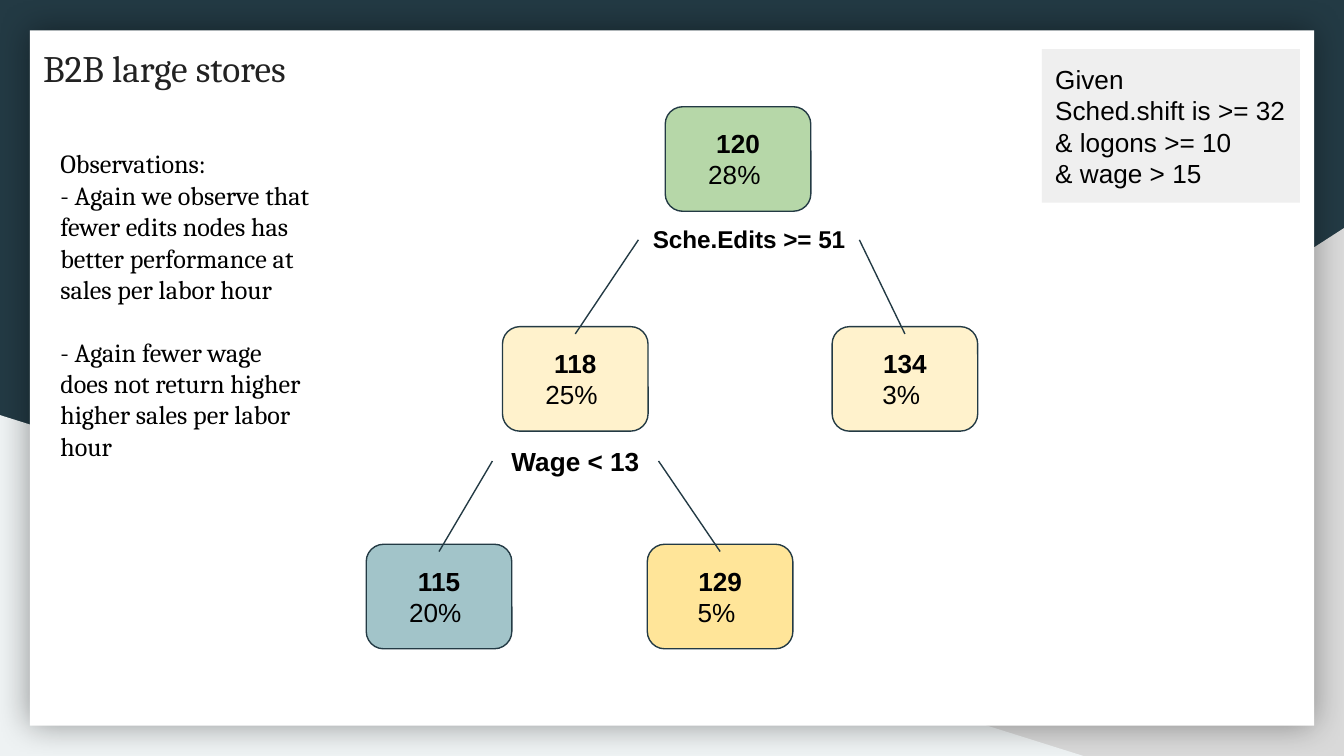
from lxml.etree import SubElement
from pptx import Presentation
from pptx.dml.color import RGBColor
from pptx.enum.shapes import MSO_CONNECTOR, MSO_SHAPE
from pptx.enum.text import MSO_ANCHOR, PP_ALIGN
from pptx.oxml import parse_xml
from pptx.oxml.ns import nsdecls, qn
from pptx.util import Pt

NAVY = RGBColor(0x23, 0x3A, 0x44)
SILVER = RGBColor(0xD9, 0xD9, 0xD9)
MIST = RGBColor(0xEE, 0xF2, 0xF3)
WHITE = RGBColor(0xFF, 0xFF, 0xFF)
BLACK = RGBColor(0, 0, 0)
CHARCOAL = RGBColor(0x22, 0x22, 0x22)
GRAY = RGBColor(0xEF, 0xEF, 0xEF)
GREEN = RGBColor(0xB6, 0xD7, 0xA8)
CREAM = RGBColor(0xFF, 0xF2, 0xCC)
TEAL = RGBColor(0xA2, 0xC4, 0xC9)
GOLD = RGBColor(0xFF, 0xE5, 0x99)

NODE_W, NODE_H = 78, 56
INSET_X, INSET_Y = 4.8, 3.9
ROW_1, ROW_2, ROW_3 = 57.2, 175, 291.6
SHADOW = (
    f'<a:effectLst {nsdecls("a")}><a:outerShdw blurRad="{Pt(18)}" dist="0" '
    'algn="ctr" rotWithShape="0"><a:srgbClr val="000000"><a:alpha val="40000"/>'
    '</a:srgbClr></a:outerShdw></a:effectLst>'
)


def add_box(s, kind, x, y, w, h, fill, line=None):
    sp = s.shapes.add_shape(kind, Pt(x), Pt(y), Pt(w), Pt(h))
    sp.shadow.inherit = False
    sp.fill.solid()
    sp.fill.fore_color.rgb = fill
    if line is None:
        sp.line.fill.background()
    else:
        sp.line.color.rgb = line
        sp.line.width = Pt(0.75)
    return sp


def write_text(sp, lines, font="Arial", size=14, color=BLACK, bold=(),
               align=PP_ALIGN.LEFT, anchor=MSO_ANCHOR.TOP, gaps=None):
    tf = sp.text_frame
    tf.word_wrap = True
    tf.vertical_anchor = anchor
    tf.margin_left = tf.margin_right = tf.margin_top = tf.margin_bottom = Pt(7.2)
    for i, line in enumerate(lines):
        p = tf.paragraphs[0] if i == 0 else tf.add_paragraph()
        p.alignment = align
        p.space_before = Pt((gaps or {}).get(i, 0))
        r = p.add_run()
        r.text = line
        r.font.name = font
        r.font.size = Pt(size)
        r.font.color.rgb = color
        r.font.bold = i in bold


def add_text(s, x, y, w, h, lines, **style):
    sp = s.shapes.add_textbox(Pt(x), Pt(y), Pt(w), Pt(h))
    write_text(sp, lines, **style)
    return sp


def add_node(s, x, y, value, share, fill):
    add_box(s, MSO_SHAPE.ROUNDED_RECTANGLE, x, y, NODE_W, NODE_H, fill, NAVY)
    return add_text(s, x + INSET_X, y + INSET_Y,
                    NODE_W - 2 * INSET_X, NODE_H - 2 * INSET_Y,
                    [value, share + " "], bold=(0,), align=PP_ALIGN.CENTER)


def add_split(s, x, y, w, h, rule, size, left, right):
    label = add_text(s, x, y, w, h, [rule], size=size, bold=(0,),
                     align=PP_ALIGN.CENTER)
    for side, child in ((1, left), (3, right)):
        line = s.shapes.add_connector(MSO_CONNECTOR.STRAIGHT, 0, 0, 0, 0)
        line.begin_connect(label, side)
        line.end_connect(child, 0)
        line.line.color.rgb = NAVY
        line.line.width = Pt(0.75)
        SubElement(line.element.spPr, qn("a:effectLst"))


def add_backdrop(s):
    s.background.fill.solid()
    s.background.fill.fore_color.rgb = NAVY
    corner = add_box(s, MSO_SHAPE.RIGHT_TRIANGLE, 282, 122.2, 438, 282.8, SILVER)
    corner.element.spPr.get_or_add_xfrm().set("flipH", "1")
    add_box(s, MSO_SHAPE.RIGHT_TRIANGLE, 0, 222.4, 580.4, 182.6, MIST)
    card = add_box(s, MSO_SHAPE.RECTANGLE, 16, 16.2, 688, 372.6, WHITE)
    spPr = card.element.spPr
    spPr.replace(spPr.find(qn("a:effectLst")), parse_xml(SHADOW))


def add_tree(s):
    add_node(s, 356.4, ROW_1, "120", "28%", GREEN)
    node_118 = add_node(s, 269.2, ROW_2, "118", "25%", CREAM)
    node_134 = add_node(s, 445.8, ROW_2, "134", "3%", CREAM)
    node_115 = add_node(s, 196.2, ROW_3, "115", "20%", TEAL)
    node_129 = add_node(s, 346.8, ROW_3, "129", "5%", GOLD)
    add_split(s, 342, 113.2, 118.4, 30.6, "Sche.Edits >= 51", 13, node_118, node_134)
    add_split(s, 263.8, 231.2, 89, 31.6, "Wage < 13", 14, node_115, node_129)


def main():
    prs = Presentation()
    prs.slide_width, prs.slide_height = Pt(720), Pt(405)
    s = prs.slides.add_slide(prs.slide_layouts[6])
    add_backdrop(s)
    add_tree(s)
    add_text(s, 25.2, 72, 149.8, 200.8, [
        "Observations:",
        "- Again we observe that fewer edits nodes has better performance "
        "at sales per labor hour",
        "- Again fewer wage does not return higher higher sales per labor hour",
    ], font="Cambria", gaps={2: 16.8})
    add_text(s, 16, 16, 194.4, 40.3, ["B2B large stores"], font="Cambria",
             size=20, color=CHARCOAL, anchor=MSO_ANCHOR.MIDDLE)
    given = add_box(s, MSO_SHAPE.RECTANGLE, 558.2, 26.4, 138.2, 82.2, GRAY)
    write_text(given, ["Given", "Sched.shift is >= 32 & logons >= 10", "& wage > 15"],
               anchor=MSO_ANCHOR.MIDDLE)
    prs.save("out.pptx")


if __name__ == "__main__":
    main()
